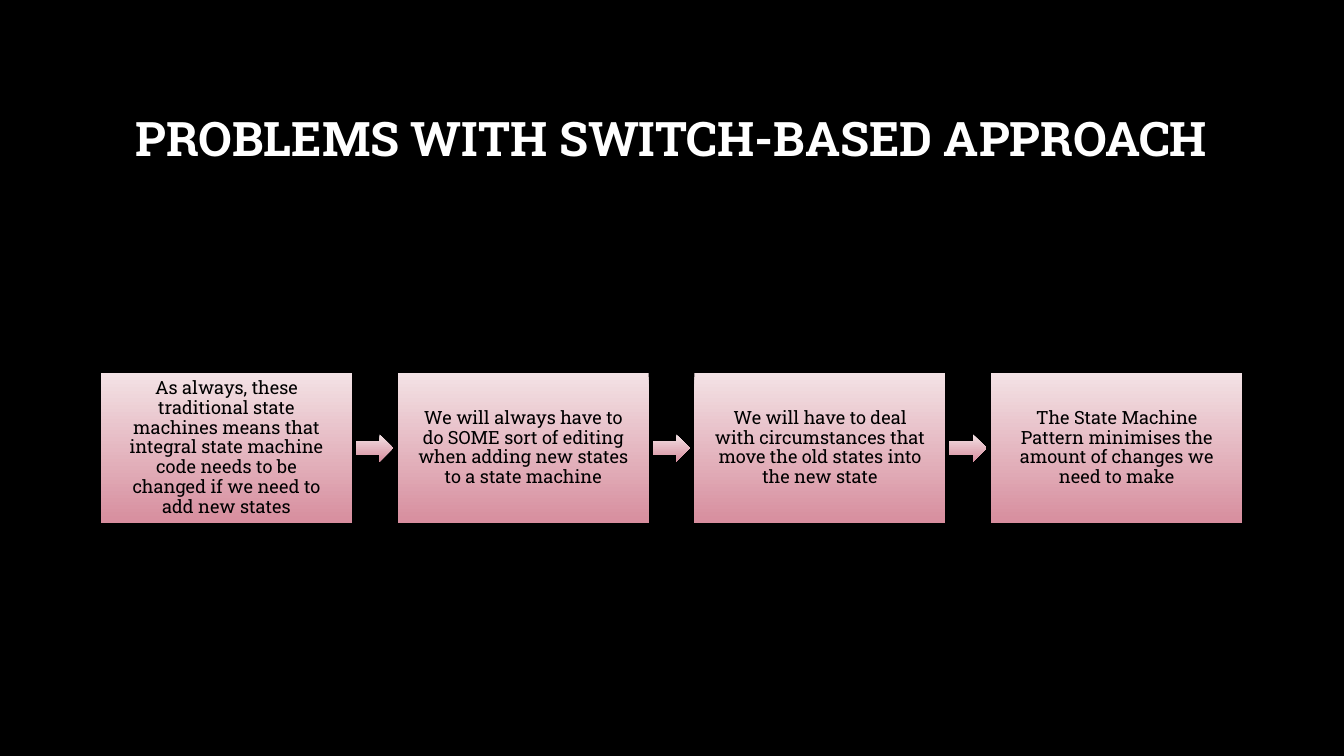
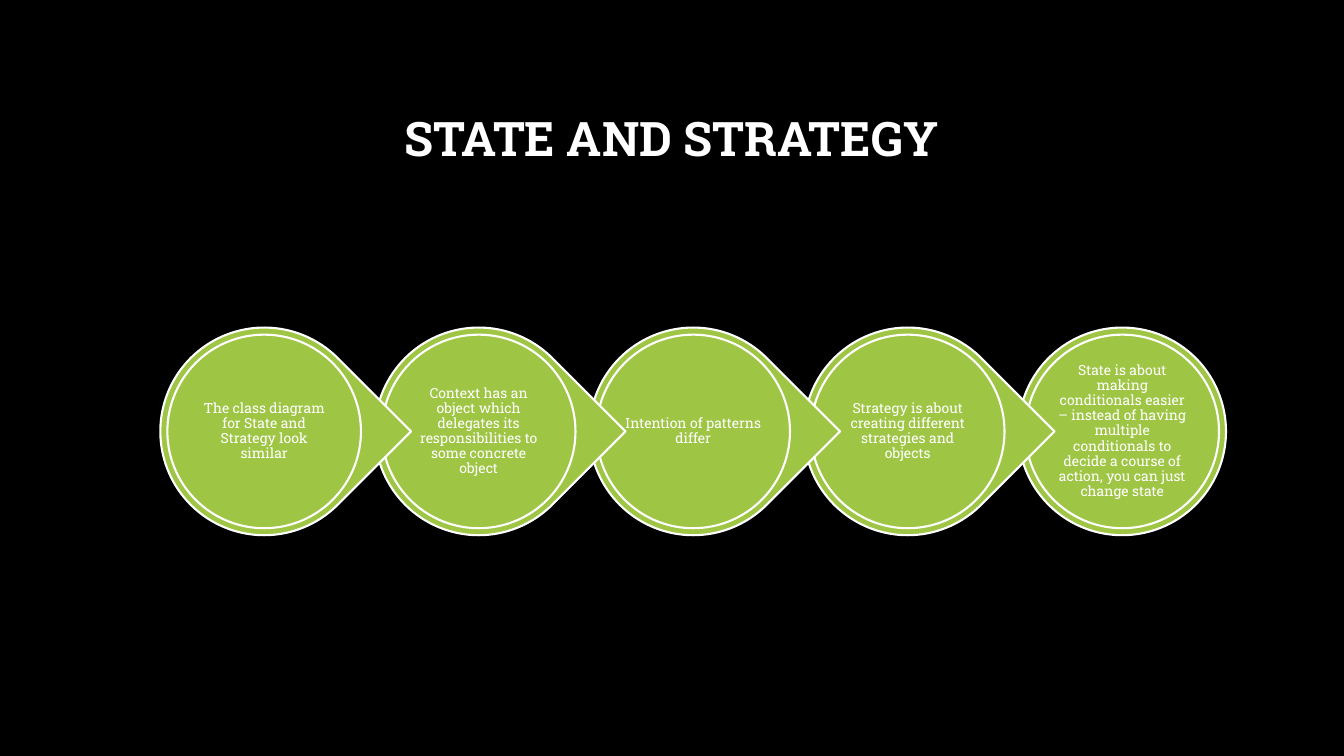
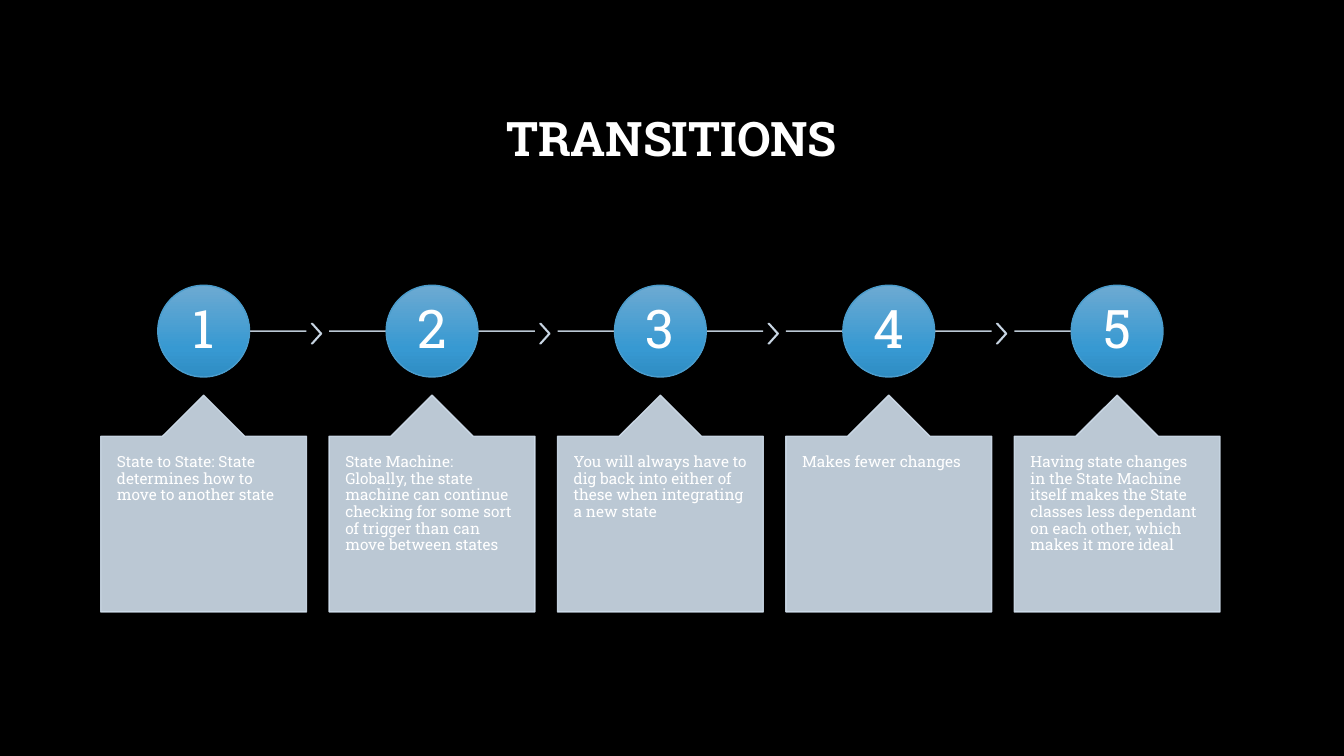
from copy import deepcopy
from dataclasses import dataclass

from lxml import etree
from pptx import Presentation
from pptx import util as u
from pptx.dml.color import RGBColor
from pptx.enum import shapes, text
from pptx.oxml.ns import qn

SHAPE = shapes.MSO_SHAPE
ALIGN = text.PP_ALIGN
ANCHOR = text.MSO_ANCHOR


@dataclass(frozen=True)
class Theme:
    font: str = "Roboto Slab"
    background: str = "000000"
    light: str = "FFFFFF"
    dark: str = "000000"
    rose: tuple = ((0, "F3E2E5"), (1, "D78E9E"))
    green: str = "9EC544"
    blue: tuple = ((0, "6DAAD2"), (0.69, "3799D2"), (1, "2F8CC2"))
    blue_edge: str = "4A9CCC"
    mist: str = "D0DEEC"
    mist_alpha: int = 90
    title_size: int = 34
    step_size: int = 13
    drop_size: int = 10
    card_size: int = 11
    number_size: int = 38


@dataclass(frozen=True)
class Box:
    left: float
    top: float
    width: float
    height: float

    def inches(self):
        return [u.Inches(n) for n in (self.left, self.top, self.width, self.height)]

    def inset(self, margin):
        return Box(self.left + margin, self.top + margin,
                   self.width - 2 * margin, self.height - 2 * margin)

    def columns(self, count, width):
        """Left edges of equally spaced columns that fill the box."""
        pitch = (self.width - width) / (count - 1)
        return [self.left + i * pitch for i in range(count)]


THEME = Theme()
TITLE_BOX = Box(1, 0.67, 11.32, 1.45)


# Shared drawing helpers

def paint(fill, colour):
    """Fill with one colour, or with (position, colour) stops from top to bottom."""
    if isinstance(colour, str):
        fill.solid()
        fill.fore_color.rgb = RGBColor.from_string(colour)
        return
    fill.gradient()
    fill.gradient_angle = 270


def set_stops(shape, stops):
    stop_list = next(shape._element.spPr.iter(qn("a:gsLst")))
    while len(stop_list) < len(stops):
        stop_list.append(deepcopy(stop_list[-1]))
    for stop, (position, colour) in zip(shape.fill.gradient_stops, stops):
        stop.position = position
        stop.color.rgb = RGBColor.from_string(colour)


def set_alpha(shape, percent):
    for colour in shape._element.spPr.iter(qn("a:srgbClr")):
        etree.SubElement(colour, qn("a:alpha"), val=str(percent * 1000))


def add_shape(slide, kind, box, colour, edge=None, edge_width=1, adjustments=()):
    shape = slide.shapes.add_shape(kind, *box.inches())
    shape.shadow.inherit = False
    paint(shape.fill, colour)
    if not isinstance(colour, str):
        set_stops(shape, colour)
    if edge:
        paint(shape.line.fill, edge)
        shape.line.width = u.Pt(edge_width)
    else:
        shape.line.fill.background()
    for i, value in enumerate(adjustments):
        shape.adjustments[i] = value
    return shape


def write(shape, words, size, colour=THEME.light, bold=False, margins=(0, 0),
          align=ALIGN.CENTER, anchor=ANCHOR.MIDDLE):
    frame = shape.text_frame
    frame.word_wrap = True
    frame.vertical_anchor = anchor
    frame.margin_left = frame.margin_right = u.Inches(margins[0])
    frame.margin_top = frame.margin_bottom = u.Inches(margins[1])
    paragraph = frame.paragraphs[0]
    paragraph.alignment = align
    paragraph.line_spacing = 0.9
    run = paragraph.add_run()
    run.text = words
    run.font.name = THEME.font
    run.font.size = u.Pt(size)
    run.font.bold = bold
    run.font.color.rgb = RGBColor.from_string(colour)


def add_line(slide, start, end, y):
    line = slide.shapes.add_connector(
        shapes.MSO_CONNECTOR.STRAIGHT,
        u.Inches(start), u.Inches(y), u.Inches(end), u.Inches(y))
    paint(line.line.fill, THEME.mist)
    line.line.width = u.Pt(1)
    set_alpha(line, THEME.mist_alpha)
    etree.SubElement(line._element.spPr, qn("a:effectLst"))


def add_titled_slide(presentation, title):
    slide = presentation.slides.add_slide(presentation.slide_layouts[6])
    paint(slide.background.fill, THEME.background)
    title_box = slide.shapes.add_textbox(*TITLE_BOX.inches())
    write(title_box, title, THEME.title_size, bold=True, margins=(0.1, 0.05))
    return slide


# Regions

def add_step_row(slide, box, steps):
    """Boxes joined by block arrows."""
    width, arrow_width, arrow_height, gap = 2.49, 0.37, 0.27, 0.04
    lefts = box.columns(len(steps), width)
    for i, (left, words) in enumerate(zip(lefts, steps)):
        step = add_shape(slide, SHAPE.RECTANGLE,
                         Box(left, box.top, width, box.height), THEME.rose)
        write(step, words, THEME.step_size, THEME.dark, margins=(0.17, 0.17))
        if i < len(steps) - 1:
            arrow_top = box.top + (box.height - arrow_height) / 2
            add_shape(slide, SHAPE.RIGHT_ARROW,
                      Box(left + width + gap, arrow_top, arrow_width, arrow_height),
                      THEME.rose)


def add_drop_chain(slide, box, drops):
    """Overlapping drops that point right and end in a circle."""
    size = box.height
    places = list(zip(box.columns(len(drops), size), drops))
    # The rightmost drop lies at the back
    for left, words in reversed(places):
        outer = Box(left, box.top, size, size)
        is_last = left == places[-1][0]
        drop = add_shape(slide, SHAPE.OVAL if is_last else SHAPE.TEAR, outer,
                         THEME.green, THEME.light, 1.5)
        drop.rotation = 0 if is_last else 45
        disc = add_shape(slide, SHAPE.OVAL, outer.inset(0.07),
                         THEME.green, THEME.light, 1.5)
        write(disc, words, THEME.drop_size)


def add_numbered_cards(slide, box, cards):
    """Numbered circles on a line, each above a callout card."""
    width, circle, card_offset = 2.04, 0.91, 1.09
    chevron = Box(0.05, 0.38, 0.1, 0.2)
    line_y = box.top + circle / 2
    lefts = box.columns(len(cards), width)
    for i, (left, words) in enumerate(zip(lefts, cards)):
        centre, right = left + width / 2, left + width
        is_first, is_last = i == 0, i == len(cards) - 1
        # Timeline
        add_line(slide, centre if is_first else left,
                 centre if is_last else right, line_y)
        if not is_last:
            mark = add_shape(slide, SHAPE.CHEVRON,
                             Box(right + chevron.left, box.top + chevron.top,
                                 chevron.width, chevron.height),
                             THEME.mist, THEME.mist, adjustments=(0.9,))
            set_alpha(mark, THEME.mist_alpha)
        # Number
        number = add_shape(slide, SHAPE.OVAL,
                           Box(centre - circle / 2, box.top, circle, circle),
                           THEME.blue, THEME.blue_edge)
        write(number, str(i + 1), THEME.number_size, margins=(0.04, 0.04))
        # Card
        card = add_shape(slide, SHAPE.UP_ARROW_CALLOUT,
                         Box(left, box.top + card_offset, width,
                             box.height - card_offset),
                         THEME.mist, THEME.mist, adjustments=(0.5, 0.2, 0.2, 1))
        set_alpha(card, THEME.mist_alpha)
        write(card, words, THEME.card_size, margins=(0.16, 0.18),
              align=ALIGN.LEFT, anchor=ANCHOR.TOP)


SLIDES = [
    ("PROBLEMS WITH SWITCH-BASED APPROACH", add_step_row, Box(1, 3.7, 11.32, 1.49), [
        "As always, these traditional state machines means that integral state "
        "machine code needs to be changed if we need to add new states",
        "We will always have to do SOME sort of editing when adding new states "
        "to a state machine",
        "We will have to deal with circumstances that move the old states into "
        "the new state",
        "The State Machine Pattern minimises the amount of changes we need to make",
    ]),
    ("STATE AND STRATEGY", add_drop_chain, Box(1.59, 3.25, 10.57, 2.06), [
        "The class diagram for State and Strategy look similar",
        "Context has an object which delegates its responsibilities to some "
        "concrete object",
        "Intention of patterns differ",
        "Strategy is about creating different strategies and objects",
        "State is about making conditionals easier – instead of having multiple "
        "conditionals to decide a course of action, you can just change state",
    ]),
    ("TRANSITIONS", add_numbered_cards, Box(1, 2.83, 11.1, 3.24), [
        "State to State: State determines how to move to another state",
        "State Machine: Globally, the state machine can continue checking for "
        "some sort of trigger than can move between states",
        "You will always have to dig back into either of these when integrating "
        "a new state",
        "Makes fewer changes",
        "Having state changes in the State Machine itself makes the State classes "
        "less dependant on each other, which makes it more ideal",
    ]),
]


def main():
    presentation = Presentation()
    presentation.slide_width = u.Inches(13.33)
    presentation.slide_height = u.Inches(7.5)
    for title, add_region, box, items in SLIDES:
        add_region(add_titled_slide(presentation, title), box, items)
    presentation.save("out.pptx")


if __name__ == "__main__":
    main()
